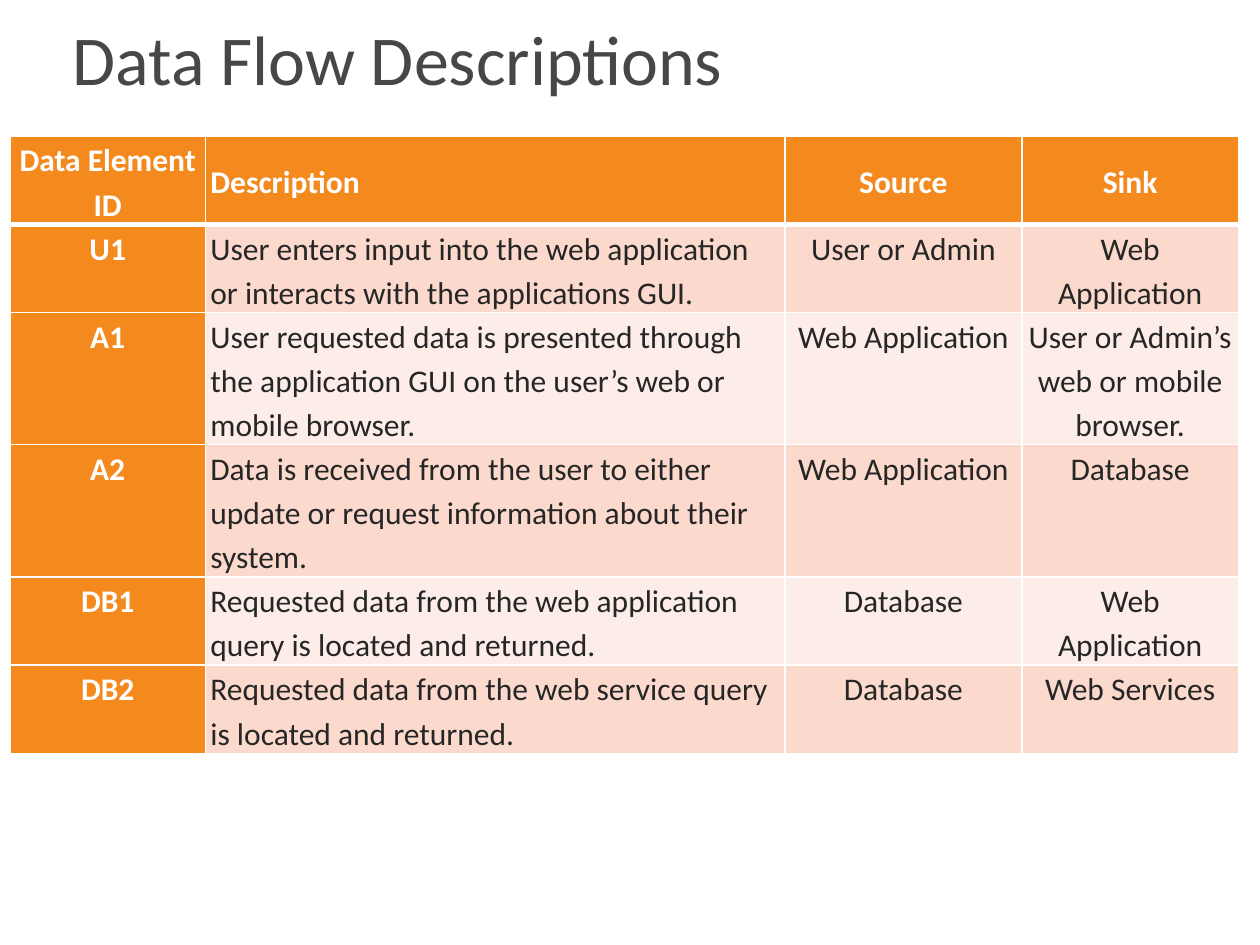
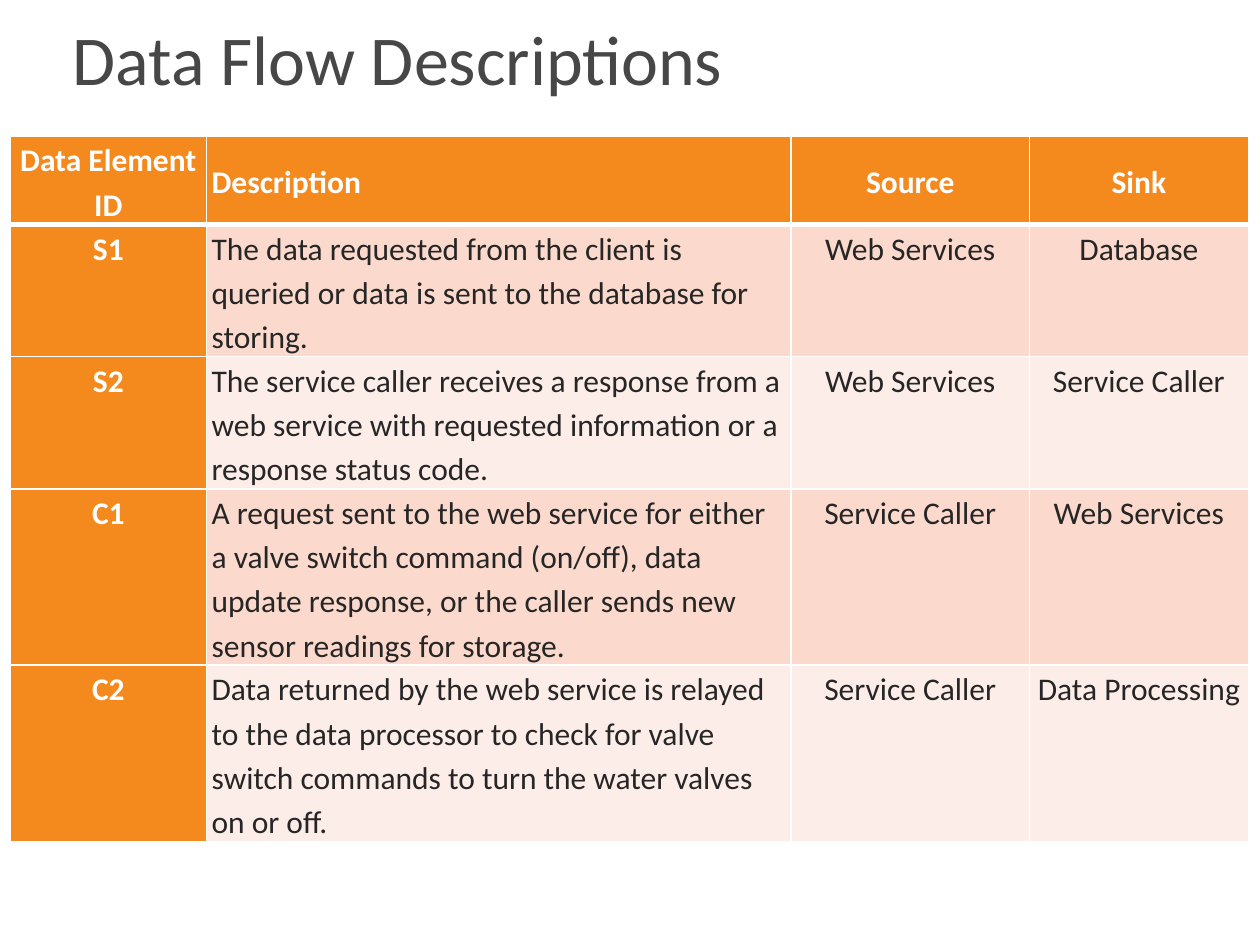
"""Build the two data flow description slides."""
import dataclasses

import lxml.etree
import pptx
import pptx.dml.color
import pptx.enum.text
import pptx.oxml.ns
import pptx.util

Inches = pptx.util.Inches
Pt = pptx.util.Pt
Align = pptx.enum.text.PP_ALIGN
Anchor = pptx.enum.text.MSO_ANCHOR


@dataclasses.dataclass(frozen=True)
class Theme:
    """Colours, font and sizes shared by the slides."""
    font: str = "Calibri"
    title_size: int = 40
    cell_size: int = 18
    title_color: str = "474747"
    body_color: str = "262626"
    white: str = "FFFFFF"
    accent: str = "F4891E"
    bands: tuple = ("FBDACD", "FDEDE8")
    rule: int = 1
    header_rule: int = 3
    line_height: float = 0.35


THEME = Theme()
TITLE = "Data Flow Descriptions"
HEADER = (2, "Data Element ID", "Description", "Source", "Sink")

INTERFACE_WIDTHS = (1.55, 4.6, 1.88, 1.72)
INTERFACE_FLOWS = (
    (2, "U1", "User enters input into the web application or interacts with the applications GUI.",
     "User or Admin", "Web Application"),
    (3, "A1", "User requested data is presented through the application GUI on the user’s web or "
     "mobile browser.", "Web Application", "User or Admin’s web or mobile browser."),
    (3, "A2", "Data is received from the user to either update or request information about their "
     "system.", "Web Application", "Database"),
    (2, "DB1", "Requested data from the web application query is located and returned.",
     "Database", "Web Application"),
    (2, "DB2", "Requested data from the web service query is located and returned.",
     "Database", "Web Services"),
)

SERVICE_WIDTHS = (1.56, 4.64, 1.89, 1.74)
SERVICE_FLOWS = (
    (3, "S1", "The data requested from the client is queried or data is sent to the database for "
     "storing.", "Web Services", "Database"),
    (3, "S2", "The service caller receives a response from a web service with requested "
     "information or a response status code.", "Web Services", "Service Caller"),
    (4, "C1", "A request sent to the web service for either a valve switch command (on/off), data "
     "update response, or the caller sends new sensor readings for storage.",
     "Service Caller", "Web Services"),
    (4, "C2", "Data returned by the web service is relayed to the data processor to check for "
     "valve switch commands to turn the water valves on or off.",
     "Service Caller", "Data Processing"),
)


def rgb(color):
    """Turn a hex string into a colour."""
    return pptx.dml.color.RGBColor.from_string(color)


def style_font(font, size, color, bold=False):
    """Apply the theme font with a size, colour and weight."""
    font.name = THEME.font
    font.size = Pt(size)
    font.color.rgb = rgb(color)
    font.bold = bold


def add_title(slide, text):
    """Add the slide title."""
    shape = slide.shapes.add_textbox(Inches(0.48), Inches(0.08), Inches(9.19), Inches(0.75))
    frame = shape.text_frame
    frame.word_wrap = True
    frame.vertical_anchor = Anchor.MIDDLE
    paragraph = frame.paragraphs[0]
    paragraph.text = text
    style_font(paragraph.font, THEME.title_size, THEME.title_color)


def add_borders(cell, top, bottom):
    """Draw white borders around a cell, with point widths for top and bottom."""
    properties = cell._tc.get_or_add_tcPr()
    qualified = pptx.oxml.ns.qn
    for side, width in (("L", THEME.rule), ("R", THEME.rule), ("T", top), ("B", bottom)):
        line = lxml.etree.SubElement(properties, qualified(f"a:ln{side}"), w=str(Pt(width)))
        fill = lxml.etree.SubElement(line, qualified("a:solidFill"))
        lxml.etree.SubElement(fill, qualified("a:srgbClr"), val=THEME.white)


def fill_cell(cell, text, row, column):
    """Write and style one cell according to its place in the table."""
    header = row == 0
    label = header or column == 0
    add_borders(cell, THEME.header_rule if row == 1 else THEME.rule,
                THEME.header_rule if header else THEME.rule)
    cell.fill.solid()
    cell.fill.fore_color.rgb = rgb(THEME.accent if label else THEME.bands[(row - 1) % 2])
    cell.margin_left = cell.margin_right = Inches(0.04)
    cell.margin_top = cell.margin_bottom = 0
    cell.vertical_anchor = Anchor.MIDDLE if header else Anchor.TOP
    paragraph = cell.text_frame.paragraphs[0]
    paragraph.text = text
    paragraph.alignment = Align.LEFT if column == 1 else Align.CENTER
    paragraph.line_spacing = 1.15
    paragraph.space_after = Pt(10)
    style_font(paragraph.font, THEME.cell_size, THEME.white if label else THEME.body_color, label)


def add_flow_table(slide, widths, flows):
    """Add a table whose row heights follow the number of text lines."""
    rows = (HEADER, *flows)
    heights = [THEME.line_height * lines for lines, *_ in rows]
    table = slide.shapes.add_table(len(rows), len(widths), Inches(0.08), Inches(1.08),
                                   Inches(sum(widths)), Inches(sum(heights))).table
    for column, width in zip(table.columns, widths):
        column.width = Inches(width)
    for row, (height, (_, *texts)) in enumerate(zip(heights, rows)):
        table.rows[row].height = Inches(height)
        for column, text in enumerate(texts):
            fill_cell(table.cell(row, column), text, row, column)


def add_flow_slide(presentation, widths, flows):
    """Add one slide with the shared title and a table of flows."""
    slide = presentation.slides.add_slide(presentation.slide_layouts[6])
    slide.background.fill.solid()
    slide.background.fill.fore_color.rgb = rgb(THEME.white)
    add_title(slide, TITLE)
    add_flow_table(slide, widths, flows)


def main():
    """Build and save the presentation."""
    presentation = pptx.Presentation()
    presentation.slide_width = Inches(10)
    presentation.slide_height = Inches(7.5)
    add_flow_slide(presentation, INTERFACE_WIDTHS, INTERFACE_FLOWS)
    add_flow_slide(presentation, SERVICE_WIDTHS, SERVICE_FLOWS)
    presentation.save("out.pptx")


main()
